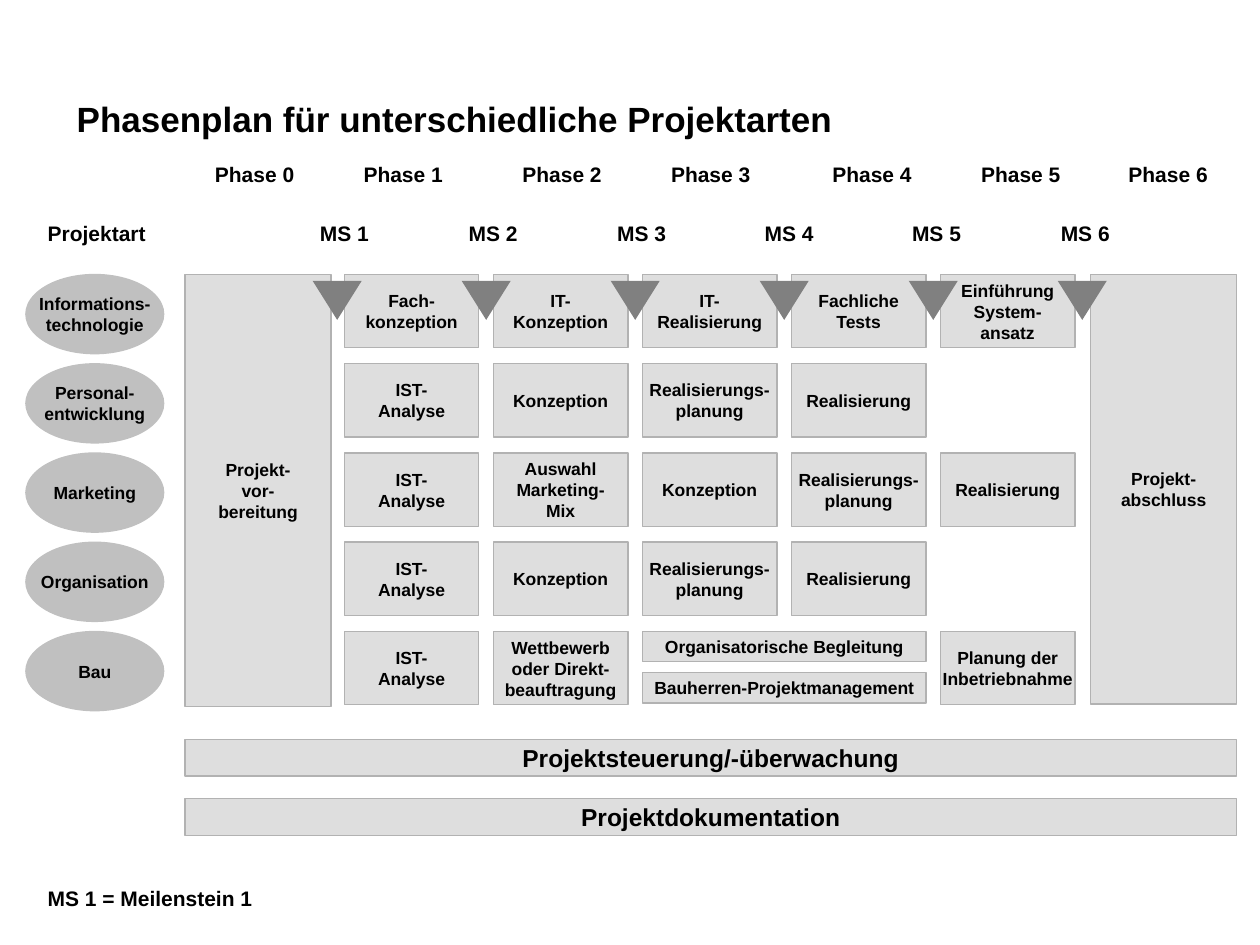
from lxml import etree
from pptx import Presentation
from pptx.dml.color import RGBColor
from pptx.enum import shapes, text
from pptx.oxml.ns import qn
from pptx.util import Pt

BLACK = RGBColor(0x00, 0x00, 0x00)
PANEL = RGBColor(0xDE, 0xDE, 0xDE)
BORDER = RGBColor(0xB2, 0xB2, 0xB2)
OVAL = RGBColor(0xC0, 0xC0, 0xC0)
MARKER = RGBColor(0x80, 0x80, 0x80)
FONT = "Arial"

COLUMN_STEP, ROW_STEP = 85.15, 51
CELL_WIDTH, CELL_HEIGHT = 77, 42

PROJECT_TYPES = ["Informations-\ntechnologie", "Personal-\nentwicklung",
                 "Marketing", "Organisation", "Bau"]
# One row per project type, one column per phase 1 to 5
STEPS = [
    ["Fach-\nkonzeption", "IT-\nKonzeption", "IT-\nRealisierung",
     "Fachliche\nTests", "Einführung\nSystem-\nansatz"],
    ["IST-\nAnalyse", "Konzeption", "Realisierungs-\nplanung", "Realisierung", None],
    ["IST-\nAnalyse", "Auswahl\nMarketing-\nMix", "Konzeption",
     "Realisierungs-\nplanung", "Realisierung"],
    ["IST-\nAnalyse", "Konzeption", "Realisierungs-\nplanung", "Realisierung", None],
    ["IST-\nAnalyse", "Wettbewerb\noder Direkt-\nbeauftragung", None, None,
     "Planung der\nInbetriebnahme"],
]
SHARED_STEPS = ["Organisatorische Begleitung", "Bauherren-Projektmanagement"]


def write(frame, content, size, align):
    frame.text = content
    for para in frame.paragraphs:
        para.alignment = align
        for span in para.runs:
            span.font.name = FONT
            span.font.size = Pt(size)
            span.font.bold = True
            span.font.color.rgb = BLACK


def add_block(page, kind, left, top, width, height, fill, line=None, content="", size=10):
    block = page.shapes.add_shape(kind, Pt(left), Pt(top), Pt(width), Pt(height))
    block.shadow.inherit = False
    block.fill.solid()
    block.fill.fore_color.rgb = fill
    if line is None:
        block.line.fill.background()
    else:
        block.line.color.rgb = line
        block.line.width = Pt(0.75)
    if content:
        frame = block.text_frame
        frame.word_wrap = False
        frame.vertical_anchor = text.MSO_ANCHOR.MIDDLE
        write(frame, content, size, text.PP_ALIGN.CENTER)


def add_panel(page, left, top, width, height, content, size=10):
    add_block(page, shapes.MSO_SHAPE.RECTANGLE, left, top, width, height,
              PANEL, BORDER, content, size)


def add_label(page, left, top, width, height, content, size=12, stops=()):
    box = page.shapes.add_textbox(Pt(left), Pt(top), Pt(width), Pt(height))
    frame = box.text_frame
    frame.word_wrap = True
    frame.vertical_anchor = text.MSO_ANCHOR.MIDDLE
    write(frame, content, size, text.PP_ALIGN.LEFT)
    if stops:
        properties = frame.paragraphs[0]._p.get_or_add_pPr()
        tabs = etree.SubElement(properties, qn("a:tabLst"))
        for stop in stops:
            etree.SubElement(tabs, qn("a:tab"), pos=str(Pt(stop)), algn="l")


def add_headings(page, left, top):
    """Phase names above the milestone names, both on tab stops."""
    phases = "".join(f"\tPhase {number}" for number in range(7))
    add_label(page, left + 74, top, 626, 21.6, phases,
              stops=[21.6, 106.5, 197.3, 282.2, 374.4, 459.4, 543.6])
    milestones = "Projektart" + "".join(f"\tMS {number}" for number in range(1, 7))
    add_label(page, left, top + 33.8, 698, 21.6, milestones,
              stops=[155.5, 240.5, 325.4, 409.7, 493.9, 578.9])


def add_project_types(page, left, top):
    for row, name in enumerate(PROJECT_TYPES):
        add_block(page, shapes.MSO_SHAPE.OVAL, left, top + row * ROW_STEP,
                  79.5, 46, OVAL, content=name)


def add_steps(page, left, top):
    """Grid of work steps; the last row has two bars spanning phases 3 and 4."""
    for row, names in enumerate(STEPS):
        for column, name in enumerate(names):
            if name:
                add_panel(page, left + column * COLUMN_STEP, top + row * ROW_STEP,
                          CELL_WIDTH, CELL_HEIGHT, name)
    for row, name in enumerate(SHARED_STEPS):
        add_panel(page, left + 2 * COLUMN_STEP, top + 4 * ROW_STEP + row * 23.7,
                  COLUMN_STEP + CELL_WIDTH, 17.3, name)


def add_milestones(page, left, top):
    for number in range(6):
        add_block(page, shapes.MSO_SHAPE.FLOWCHART_MERGE,
                  left + number * COLUMN_STEP, top, 28, 22.3, MARKER)


def add_frame_phases(page, left, top, width):
    """Opening and closing phases, then the bars that run below all phases."""
    add_panel(page, left, top, 83.5, 247, "Projekt-\nvor-\nbereitung")
    add_panel(page, left + width - 83.5, top, 83.5, 245.5, "Projekt-\nabschluss")
    for row, name in enumerate(["Projektsteuerung/-überwachung", "Projektdokumentation"]):
        add_panel(page, left, top + 265.8 + row * 33.8, width, 20.9, name, 14)


def main():
    deck = Presentation()
    deck.slide_width, deck.slide_height = Pt(720), Pt(540)
    page = deck.slides.add_slide(deck.slide_layouts[6])

    add_label(page, 36.7, 47.5, 536.4, 40.3, "Phasenplan für unterschiedliche Projektarten", 20)
    add_frame_phases(page, 105.7, 156.8, 601)
    add_steps(page, 196.7, 156.8)
    add_project_types(page, 14.4, 156.5)
    add_milestones(page, 178.7, 160.5)
    add_headings(page, 20.2, 88.9)
    # Legend
    add_label(page, 20.2, 502.6, 153.4, 21.6, "MS 1 = Meilenstein 1")

    deck.save("out.pptx")


if __name__ == "__main__":
    main()
